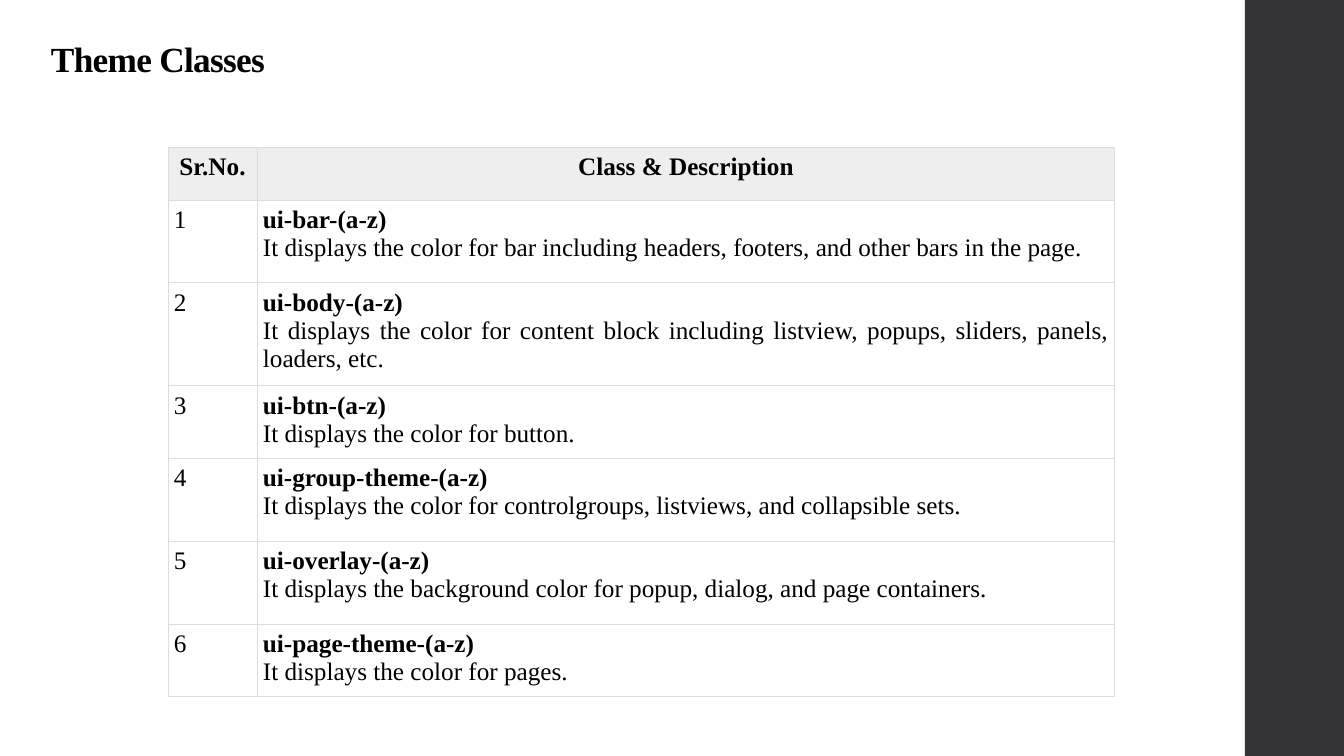
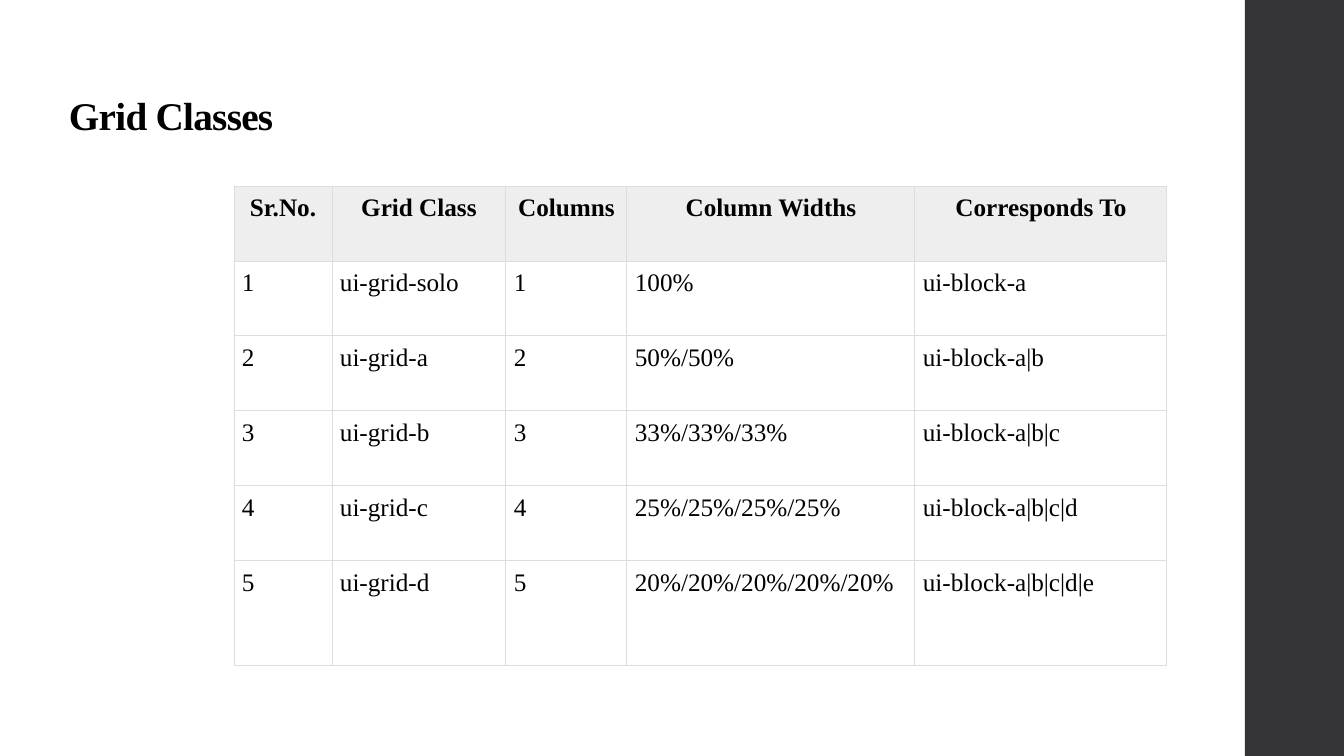
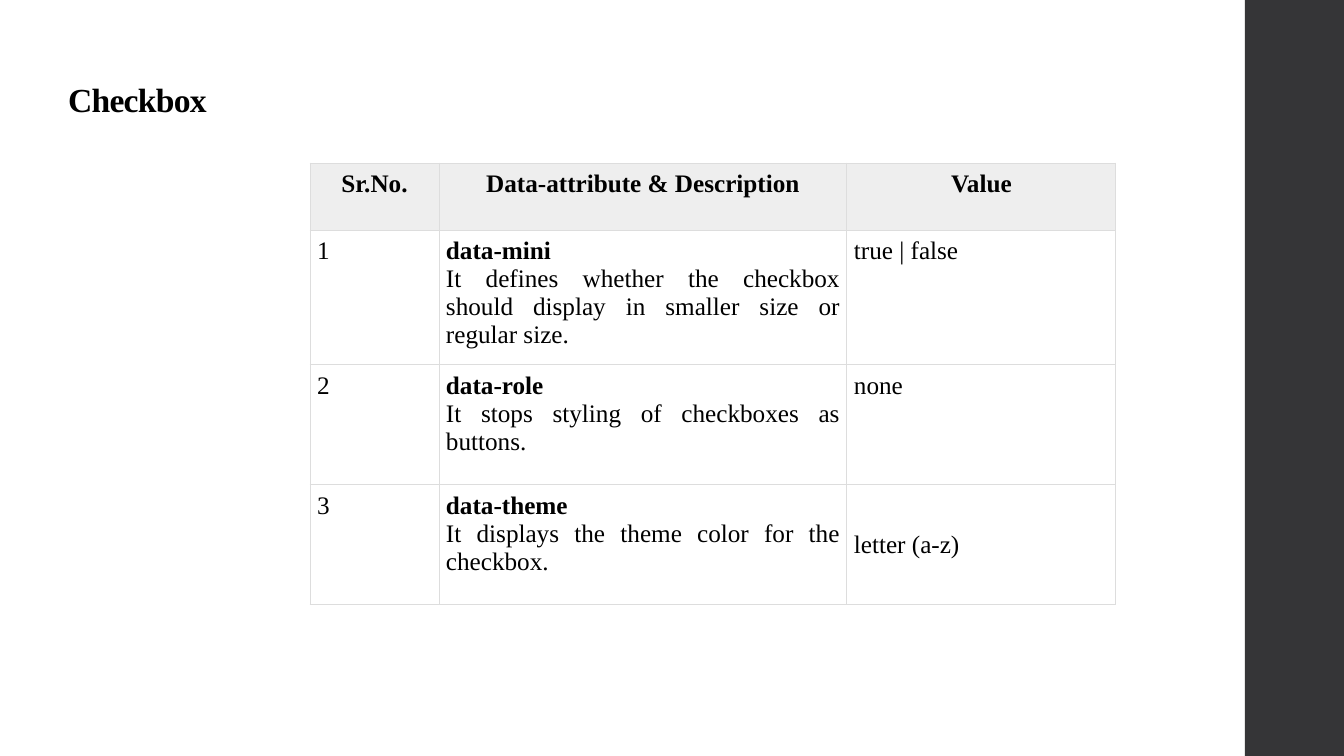
from dataclasses import dataclass
from typing import Any

import lxml.etree
import pptx
import pptx.dml.color
import pptx.enum.shapes
import pptx.enum.text
import pptx.oxml.ns
import pptx.slide
import pptx.table
import pptx.util

SLIDE_W, SLIDE_H = 1344, 756
EMU_PER_PX = 12192000 / SLIDE_W
ALIGN = pptx.enum.text.PP_ALIGN
ANCHOR = pptx.enum.text.MSO_ANCHOR
qn = pptx.oxml.ns.qn


@dataclass(frozen=True)
class Theme:
    font: str = "Times New Roman"
    ink: str = "000000"
    band: str = "353537"
    header: str = "EEEEEE"
    border: str = "DDDDDD"
    border_pt: float = 0.75
    body_pt: float = 18
    title_spacing: float = 0.9
    title_tracking: int = -50


@dataclass(frozen=True)
class Box:
    x: int
    y: int
    w: int
    h: int


@dataclass(frozen=True)
class Title:
    text: str
    box: Box
    size: float
    bottom_inset: int = 5


@dataclass(frozen=True)
class Cell:
    text: str
    term: str = ""
    middle: bool = False


@dataclass(frozen=True)
class Grid:
    x: int
    y: int
    inset: int
    cols: list[int]
    heights: list[int]
    headers: list[str]
    rows: list[list[Cell]]


@dataclass(frozen=True)
class Page:
    title: Title
    grid: Grid


THEME = Theme()

PAGES = [
    Page(
        Title("Theme Classes", Box(41, 40, 1166, 82), 25.2, 46),
        Grid(
            168, 147, 6, [89, 858], [53, 83, 95, 67, 83, 83, 68],
            ["Sr.No.", "Class & Description"],
            [
                [Cell("It displays the color for bar including headers, footers, "
                      "and other bars in the page.", "ui-bar-(a-z)")],
                [Cell("It displays the color for content block including listview, "
                      "popups, sliders, panels, loaders, etc.", "ui-body-(a-z)")],
                [Cell("It displays the color for button.", "ui-btn-(a-z)")],
                [Cell("It displays the color for controlgroups, listviews, "
                      "and collapsible sets.", "ui-group-theme-(a-z)")],
                [Cell("It displays the background color for popup, dialog, "
                      "and page containers.", "ui-overlay-(a-z)")],
                [Cell("It displays the color for pages.", "ui-page-theme-(a-z)")],
            ],
        ),
    ),
    Page(
        Title("Grid Classes", Box(59, 40, 1148, 146), 28, 52),
        Grid(
            234, 186, 8, [98, 174, 121, 288, 252], [75] * 5 + [105],
            ["Sr.No.", "Grid Class", "Columns", "Column Widths", "Corresponds To"],
            [
                [
                    Cell(f"ui-grid-{name}"),
                    Cell(str(n)),
                    Cell("/".join([f"{100 // n}%"] * n)),
                    Cell("ui-block-" + "|".join("abcde"[:n])),
                ]
                for n, name in enumerate(["solo", "a", "b", "c", "d"], 1)
            ],
        ),
    ),
    Page(
        Title("Checkbox", Box(58, 40, 1149, 85), 24),
        Grid(
            310, 163, 7, [129, 408, 269], [67, 133, 120, 120],
            ["Sr.No.", "Data-attribute & Description", "Value"],
            [
                [Cell("It defines whether the checkbox should display in smaller size "
                      "or regular size.", "data-mini"), Cell("true | false")],
                [Cell("It stops styling of checkboxes as buttons.", "data-role"),
                 Cell("none")],
                [Cell("It displays the theme color for the checkbox.", "data-theme"),
                 Cell("letter (a-z)", middle=True)],
            ],
        ),
    ),
]


def px(n: int) -> int:
    return round(n * EMU_PER_PX)


def place(box: Box) -> tuple[int, int, int, int]:
    return px(box.x), px(box.y), px(box.w), px(box.h)


def rgb(color: str) -> pptx.dml.color.RGBColor:
    return pptx.dml.color.RGBColor.from_string(color)


def write(p: Any, text: str, *, size: float = THEME.body_pt, bold: bool = False,
          align: Any = ALIGN.LEFT, spacing: float = 1.0, tracking: int = 0) -> None:
    p.alignment = align
    p.line_spacing = spacing
    r = p.add_run()
    r.text = text
    r.font.name = THEME.font
    r.font.size = pptx.util.Pt(size)
    r.font.bold = bold
    r.font.color.rgb = rgb(THEME.ink)
    if tracking:
        r._r.get_or_add_rPr().set("spc", str(tracking))


def add_band(s: pptx.slide.Slide) -> None:
    sp = s.shapes.add_shape(pptx.enum.shapes.MSO_SHAPE.RECTANGLE,
                            *place(Box(1245, 0, SLIDE_W - 1245, SLIDE_H)))
    sp.shadow.inherit = False
    sp.fill.solid()
    sp.fill.fore_color.rgb = rgb(THEME.band)
    sp.line.fill.background()


def add_title(s: pptx.slide.Slide, title: Title) -> None:
    tf = s.shapes.add_textbox(*place(title.box)).text_frame
    tf.word_wrap = True
    tf.vertical_anchor = ANCHOR.BOTTOM
    tf.margin_left = tf.margin_right = px(10)
    tf.margin_top = 0
    tf.margin_bottom = px(title.bottom_inset)
    write(tf.paragraphs[0], title.text, size=title.size, bold=True,
          spacing=THEME.title_spacing, tracking=THEME.title_tracking)


def add_borders(cell: pptx.table._Cell) -> None:
    tcPr = cell._tc.get_or_add_tcPr()
    for side in ("a:lnL", "a:lnR", "a:lnT", "a:lnB"):
        ln = lxml.etree.SubElement(tcPr, qn(side),
                                   w=str(int(pptx.util.Pt(THEME.border_pt))))
        fill = lxml.etree.SubElement(ln, qn("a:solidFill"))
        lxml.etree.SubElement(fill, qn("a:srgbClr"), val=THEME.border)


def fill_cell(cell: pptx.table._Cell, content: Cell, inset: int, header: bool) -> None:
    cell.margin_left = cell.margin_right = px(inset)
    cell.margin_top = cell.margin_bottom = px(inset)
    cell.vertical_anchor = ANCHOR.MIDDLE if content.middle else ANCHOR.TOP
    add_borders(cell)
    if header:
        cell.fill.solid()
        cell.fill.fore_color.rgb = rgb(THEME.header)
    else:
        cell.fill.background()
    tf = cell.text_frame
    p = tf.paragraphs[0]
    align = ALIGN.CENTER if header else ALIGN.LEFT
    if content.term:
        align = ALIGN.JUSTIFY
        write(p, content.term, bold=True, align=align)
        p = tf.add_paragraph()
    write(p, content.text, bold=header, align=align)


def add_grid(s: pptx.slide.Slide, grid: Grid) -> None:
    box = Box(grid.x, grid.y, sum(grid.cols), sum(grid.heights))
    table = s.shapes.add_table(len(grid.heights), len(grid.cols), *place(box)).table
    table.first_row = False
    table.horz_banding = False
    for col, width in zip(table.columns, grid.cols):
        col.width = px(width)
    for row, height in zip(table.rows, grid.heights):
        row.height = px(height)
    numbered = [[Cell(str(n)), *row] for n, row in enumerate(grid.rows, 1)]
    for i, row in enumerate([[Cell(h) for h in grid.headers], *numbered]):
        for j, content in enumerate(row):
            fill_cell(table.cell(i, j), content, grid.inset, header=i == 0)


def main() -> None:
    prs = pptx.Presentation()
    prs.slide_width, prs.slide_height = px(SLIDE_W), px(SLIDE_H)
    for page in PAGES:
        s = prs.slides.add_slide(prs.slide_layouts[6])
        add_band(s)
        add_title(s, page.title)
        add_grid(s, page.grid)
    prs.save("out.pptx")


if __name__ == "__main__":
    main()
